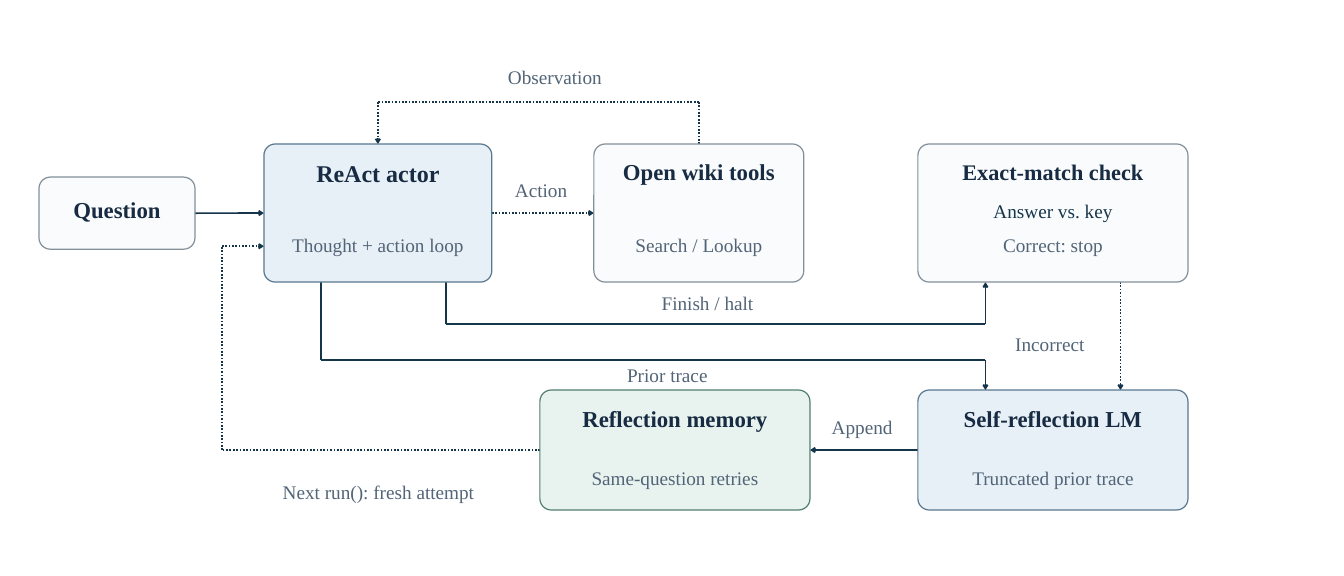
from dataclasses import dataclass
from itertools import pairwise

from lxml.etree import SubElement
from pptx import Presentation
from pptx.dml.color import RGBColor
from pptx.enum.dml import MSO_LINE
from pptx.enum.shapes import MSO_CONNECTOR, MSO_SHAPE
from pptx.enum.text import MSO_ANCHOR, PP_ALIGN
from pptx.oxml.ns import qn
from pptx.util import Cm, Pt

FONT = "Times New Roman"
INK, TITLE, MUTED = "15354A", "172B42", "526477"
WHITE = ("FAFBFC", "839099")
BLUE = ("E8F0F7", "59778E")
GREEN = ("E8F3EF", "507E71")
RADIUS, INSET = 0.5, 0.47


# All lengths are in centimetres; a line's y is its centre below the box top.
@dataclass
class Line:
    text: str
    y: float
    size: float = 24
    color: str = MUTED
    bold: bool = False


@dataclass
class Box:
    x: float
    y: float
    w: float
    h: float
    colors: tuple[str, str]
    lines: list[Line]

    def at(self, fx: float, fy: float) -> tuple[float, float]:
        """Point at the given fractions of the box's width and height."""
        return self.x + fx * self.w, self.y + fy * self.h


@dataclass
class Label:
    text: str
    x: float
    y: float
    w: float


@dataclass
class Route:
    points: list[tuple[float, float]]
    dotted: bool = False


def rgb(color: str) -> RGBColor:
    return RGBColor.from_string(color)


def heading(text: str, y: float = 1.23, size: float = 28.5) -> Line:
    return Line(text, y, size, TITLE, True)


def draw_text(s, line: Line, x: float, y: float, w: float, h: float = 1.1) -> None:
    """Write one line centred on x, y."""
    sp = s.shapes.add_textbox(Cm(x - w / 2), Cm(y - h / 2), Cm(w), Cm(h))
    tf = sp.text_frame
    tf.word_wrap = False
    tf.vertical_anchor = MSO_ANCHOR.MIDDLE
    tf.margin_left = tf.margin_right = tf.margin_top = tf.margin_bottom = 0
    p = tf.paragraphs[0]
    p.text = line.text
    p.alignment = PP_ALIGN.CENTER
    p.font.name, p.font.size, p.font.bold = FONT, Pt(line.size), line.bold
    p.font.color.rgb = rgb(line.color)


def draw_box(s, box: Box) -> None:
    sp = s.shapes.add_shape(MSO_SHAPE.ROUNDED_RECTANGLE,
                            Cm(box.x), Cm(box.y), Cm(box.w), Cm(box.h))
    sp.adjustments[0] = RADIUS / min(box.w, box.h)
    sp.shadow.inherit = False
    fill, edge = box.colors
    sp.fill.solid()
    sp.fill.fore_color.rgb = rgb(fill)
    sp.line.color.rgb = rgb(edge)
    sp.line.width = Pt(1.5)


def draw_route(s, route: Route) -> None:
    """Join the points with straight segments and put an arrowhead on the last."""
    segments = list(pairwise(route.points))
    shapes = s.shapes.add_group_shape().shapes if len(segments) > 1 else s.shapes
    for i, (start, end) in enumerate(segments, 1):
        c = shapes.add_connector(MSO_CONNECTOR.STRAIGHT, *map(Cm, start + end))
        c.line.color.rgb = rgb(INK)
        c.line.width = Pt(2.1)
        if route.dotted:
            c.line.dash_style = MSO_LINE.ROUND_DOT
        if i == len(segments):
            SubElement(c.line._get_or_add_ln(), qn("a:tailEnd"), type="arrow")
        SubElement(c._element.spPr, qn("a:effectLst"))


# Boxes: two rows, with the question to the left
TOP, TOP_H, LOW, LOW_H = 6.35, 6.09, 17.2, 5.29
question = Box(1.72, 7.81, 6.88, 3.18, WHITE, [heading("Question", 1.41)])
actor = Box(11.64, TOP, 10.05, TOP_H, BLUE,
            [heading("ReAct actor", 1.26, 30), Line("Thought + action loop", 4.43)])
tools = Box(26.19, TOP, 9.26, TOP_H, WHITE,
            [heading("Open wiki tools"), Line("Search / Lookup", 4.43)])
check = Box(40.48, TOP, 11.91, TOP_H, WHITE,
            [heading("Exact-match check", 1.21, 27.8),
             Line("Answer vs. key", 2.93, color=INK), Line("Correct: stop", 4.43)])
reflection = Box(40.48, LOW, 11.91, LOW_H, BLUE,
                 [heading("Self-reflection LM"), Line("Truncated prior trace", 3.87)])
memory = Box(23.81, LOW, 11.91, LOW_H, GREEN,
             [heading("Reflection memory"), Line("Same-question retries", 3.87)])
boxes = [question, actor, tools, check, reflection, memory]


def bend(start: tuple[float, float], y: float, end: tuple[float, float]) -> list:
    """Leave vertically, cross at height y, arrive vertically."""
    return [start, (start[0], y), (end[0], y), end]


# Routes between the boxes
RETRY_X = 9.79
memory_out, retry_in = memory.at(0, 0.5), actor.at(0, 0.74)
routes = [
    Route([question.at(1, 0.5), actor.at(0, 0.5)]),
    Route([actor.at(1, 0.5), tools.at(0, 0.5)], dotted=True),
    Route(bend(tools.at(0.5, 0), 4.5, actor.at(0.5, 0)), dotted=True),
    Route(bend(actor.at(0.8, 1), 14.29, check.at(0.25, 1))),
    Route([check.at(0.75, 1), reflection.at(0.75, 0)], dotted=True),
    Route(bend(actor.at(0.25, 1), 15.88, reflection.at(0.25, 0))),
    Route([reflection.at(0, 0.5), memory.at(1, 0.5)]),
    Route([memory_out, (RETRY_X, memory_out[1]), (RETRY_X, retry_in[1]), retry_in],
          dotted=True),
]

labels = [
    Label("Action", 23.86, 8.39, 2.77),
    Label("Observation", 24.47, 3.39, 5),
    Label("Finish / halt", 31.2, 13.35, 4.75),
    Label("Incorrect", 46.3, 15.18, 3.71),
    Label("Prior trace", 29.43, 16.52, 4.34),
    Label("Append", 38.02, 18.83, 3.35),
    Label("Next run(): fresh attempt", 16.69, 21.7, 9.55),
]


def main() -> None:
    prs = Presentation()
    prs.slide_width, prs.slide_height = Cm(59.27), Cm(25.4)
    s = prs.slides.add_slide(prs.slide_layouts[6])
    for route in routes:
        draw_route(s, route)
    for box in boxes:
        draw_box(s, box)
    for box in boxes:
        for line in box.lines:
            draw_text(s, line, box.x + box.w / 2, box.y + line.y, box.w - 2 * INSET)
    for label in labels:
        draw_text(s, Line(label.text, 0), label.x, label.y, label.w)
    prs.save("out.pptx")


if __name__ == "__main__":
    main()
